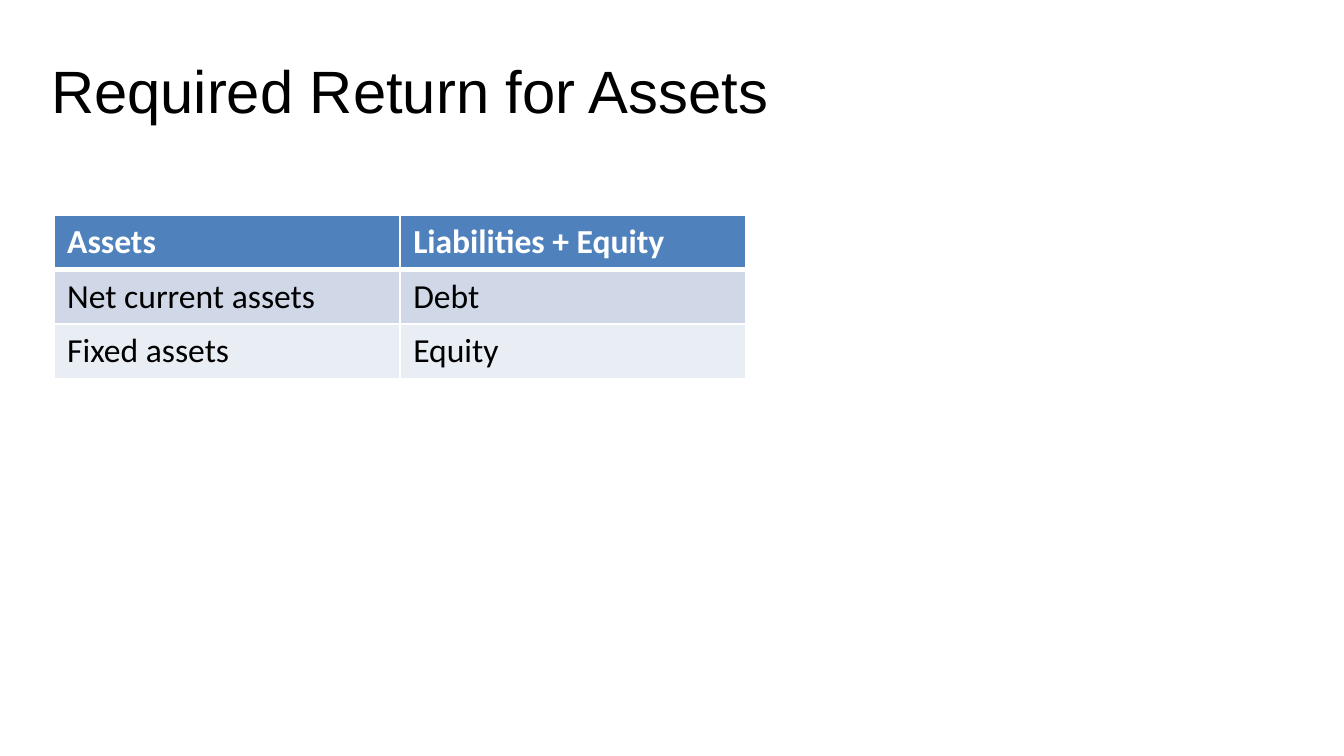
import dataclasses

import lxml.etree
import pptx
import pptx.dml.color
import pptx.enum.text
import pptx.oxml.ns
import pptx.util

Inches = pptx.util.Inches


@dataclasses.dataclass(frozen=True)
class Theme:
    title_font: str = "Arial"
    table_font: str = "Calibri"
    title_size: int = 32
    table_size: int = 18
    text: str = "000000"
    header_text: str = "FFFFFF"
    header_fill: str = "4F81BD"
    band_fills: tuple = ("D0D8E8", "E9EDF4")
    border: str = "FFFFFF"
    border_width: int = 1
    header_rule_width: int = 3


class SlideBuilder:
    """Adds styled elements to one slide."""

    def __init__(self, slide, theme):
        self.slide = slide
        self.theme = theme

    def style_font(self, font, name, size, color, bold=False):
        font.name = name
        font.size = pptx.util.Pt(size)
        font.bold = bold
        font.color.rgb = pptx.dml.color.RGBColor.from_string(color)

    def add_title(self, text, left, top, width, height):
        title = self.slide.shapes.title
        title.left, title.top = Inches(left), Inches(top)
        title.width, title.height = Inches(width), Inches(height)
        frame = title.text_frame
        frame.text = text
        frame.auto_size = pptx.enum.text.MSO_AUTO_SIZE.NONE
        frame.vertical_anchor = pptx.enum.text.MSO_ANCHOR.TOP
        frame.margin_top = frame.margin_bottom = Inches(0.1)
        paragraph = frame.paragraphs[0]
        paragraph.alignment = pptx.enum.text.PP_ALIGN.LEFT
        self.style_font(paragraph.font, self.theme.title_font, self.theme.title_size, self.theme.text)

    def set_borders(self, cell, widths):
        properties = cell._tc.get_or_add_tcPr()
        for index, (side, width) in enumerate(widths.items()):
            line = lxml.etree.Element(pptx.oxml.ns.qn(f"a:ln{side}"), w=str(pptx.util.Pt(width)))
            fill = lxml.etree.SubElement(line, pptx.oxml.ns.qn("a:solidFill"))
            lxml.etree.SubElement(fill, pptx.oxml.ns.qn("a:srgbClr"), val=self.theme.border)
            properties.insert(index, line)

    def style_cell(self, cell, text, row):
        theme = self.theme
        header = row == 0
        fill = theme.header_fill if header else theme.band_fills[(row - 1) % 2]
        cell.text = text
        cell.fill.solid()
        cell.fill.fore_color.rgb = pptx.dml.color.RGBColor.from_string(fill)
        color = theme.header_text if header else theme.text
        font = cell.text_frame.paragraphs[0].font
        self.style_font(font, theme.table_font, theme.table_size, color, header)
        widths = dict.fromkeys("LRTB", theme.border_width)
        if row < 2:
            widths["B" if header else "T"] = theme.header_rule_width
        self.set_borders(cell, widths)

    def add_table(self, rows, left, top, width, height):
        table = self.slide.shapes.add_table(
            len(rows), len(rows[0]), Inches(left), Inches(top), Inches(width), Inches(height)
        ).table
        for row, texts in enumerate(rows):
            for column, text in enumerate(texts):
                self.style_cell(table.cell(row, column), text, row)


def main():
    presentation = pptx.Presentation()
    presentation.slide_width = Inches(10)
    presentation.slide_height = presentation.slide_width * 9 // 16
    slide = presentation.slides.add_slide(presentation.slide_layouts[5])
    builder = SlideBuilder(slide, Theme())
    balance_sheet = [
        ("Assets", "Liabilities + Equity"),
        ("Net current assets", "Debt"),
        ("Fixed assets", "Equity"),
    ]
    builder.add_table(balance_sheet, left=0.4, top=1.6, width=5.15, height=1.22)
    builder.add_title("Required Return for Assets", left=0.28, top=0.3, width=6.76, height=0.75)
    presentation.save("out.pptx")


if __name__ == "__main__":
    main()
